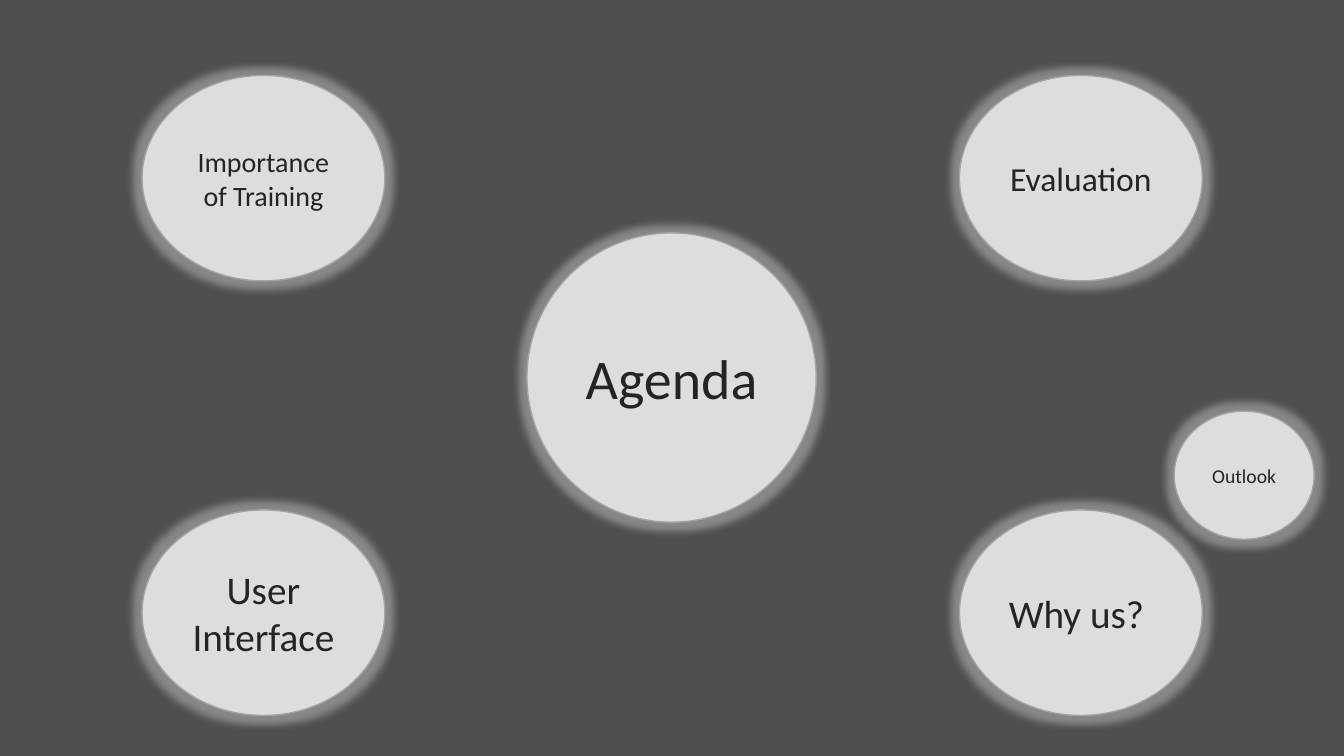
"""Build the agenda slide: a central circle surrounded by its glowing topics."""
from lxml.etree import SubElement
from pptx import Presentation
from pptx.dml.color import RGBColor
from pptx.enum.shapes import MSO_SHAPE
from pptx.enum.text import MSO_ANCHOR, PP_ALIGN
from pptx.oxml.ns import qn
from pptx.util import Cm, Pt

BACKDROP = RGBColor(0x4F, 0x4F, 0x4F)
BUBBLE = RGBColor(0xDD, 0xDD, 0xDD)
OUTLINE = RGBColor(0xA3, 0xA3, 0xA3)
INK = RGBColor(0x24, 0x24, 0x24)

LEFT, RIGHT = 3.58, 24.18
TOP, BOTTOM = 1.9, 12.85
TOPIC_SIZE = (6.12, 5.18)

topics = [
    ("Importance of Training", 20, (LEFT, TOP), TOPIC_SIZE),
    ("User Interface", 28, (LEFT, BOTTOM), TOPIC_SIZE),
    ("Why us? ", 28, (RIGHT, BOTTOM), TOPIC_SIZE),
    ("Evaluation", 24, (RIGHT, TOP), TOPIC_SIZE),
    ("Outlook", 14, (29.59, 10.36), (3.53, 3.23)),
    ("Agenda", 40, (13.28, 5.87), (7.29, 7.29)),
]


def add_glow(bubble):
    bubble.shadow.inherit = False
    effects = bubble._element.spPr.find(qn("a:effectLst"))
    glow = SubElement(effects, qn("a:glow"), rad=str(Pt(11)))
    tint = SubElement(glow, qn("a:srgbClr"), val=str(BUBBLE))
    SubElement(tint, qn("a:alpha"), val="40000")


deck = Presentation()
deck.slide_width, deck.slide_height = Cm(33.87), Cm(19.05)
agenda = deck.slides.add_slide(deck.slide_layouts[6])
agenda.background.fill.solid()
agenda.background.fill.fore_color.rgb = BACKDROP

for topic, size, corner, extent in topics:
    bubble = agenda.shapes.add_shape(MSO_SHAPE.OVAL, *map(Cm, corner + extent))
    bubble.fill.solid()
    bubble.fill.fore_color.rgb = BUBBLE
    bubble.line.color.rgb = OUTLINE
    bubble.line.width = Pt(1)
    add_glow(bubble)

    label = bubble.text_frame
    label.text = topic
    label.word_wrap = True
    label.vertical_anchor = MSO_ANCHOR.MIDDLE
    caption = label.paragraphs[0]
    caption.alignment = PP_ALIGN.CENTER
    caption.font.name = "Calibri"
    caption.font.size = Pt(size)
    caption.font.color.rgb = INK

deck.save("out.pptx")
